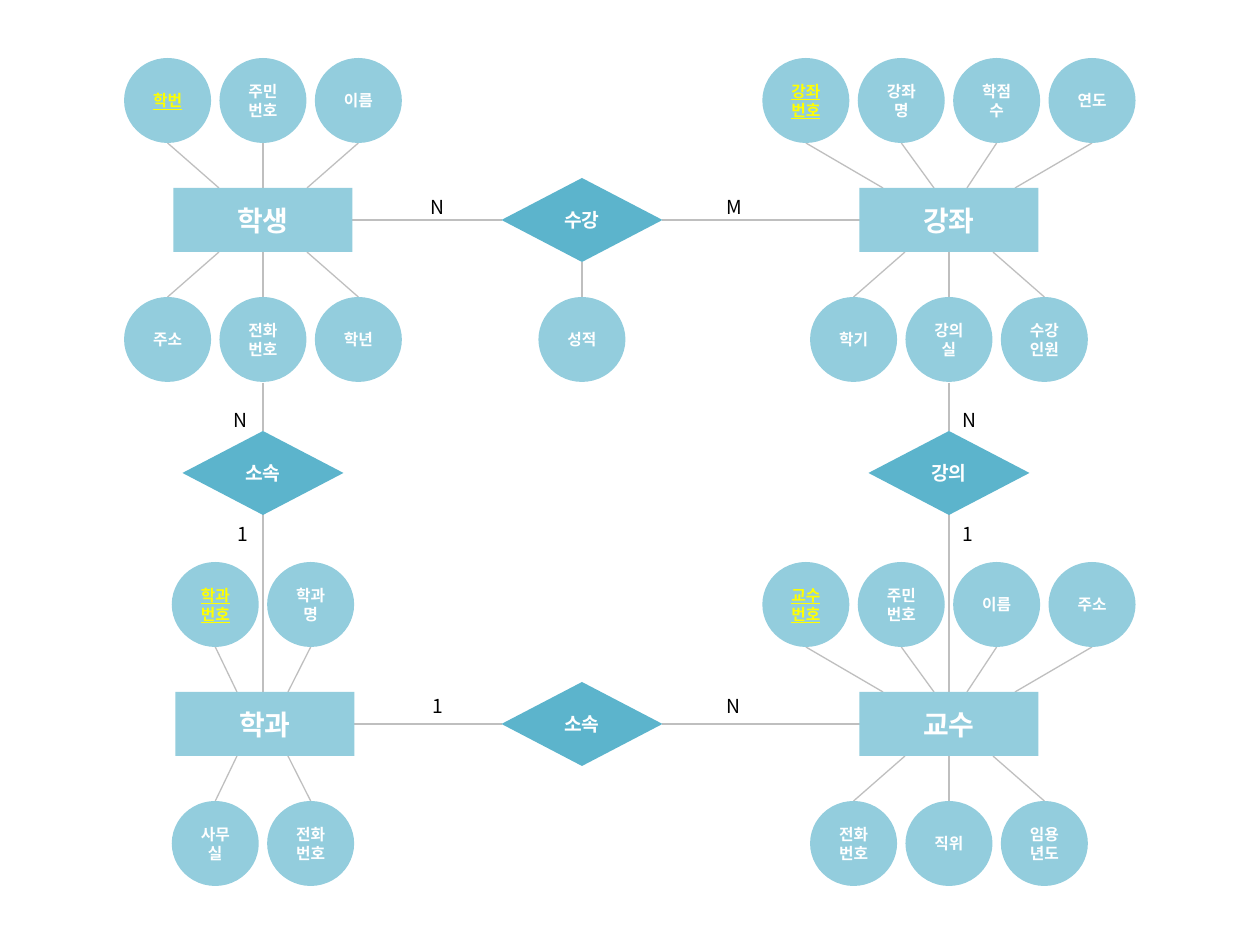
from lxml.etree import SubElement
from pptx import Presentation
from pptx.dml.color import RGBColor
from pptx.enum.shapes import MSO_CONNECTOR, MSO_SHAPE
from pptx.enum.text import MSO_ANCHOR, PP_ALIGN
from pptx.oxml.ns import qn
from pptx.util import Emu, Pt

SCALE = 914400 / 126
FONT = "Noto Sans CJK KR"
LIGHT = RGBColor(0x93, 0xCD, 0xDD)
TEAL = RGBColor(0x5C, 0xB4, 0xCC)
GRAY = RGBColor(0xBF, 0xBF, 0xBF)
WHITE = RGBColor(0xFF, 0xFF, 0xFF)
YELLOW = RGBColor(0xFF, 0xFF, 0x00)
BLACK = RGBColor(0x00, 0x00, 0x00)

LEFT, MIDDLE, RIGHT = 263, 582, 949
TOP, CENTER, BOTTOM = 220, 473, 724
ELLIPSE, ENTITY, DIAMOND = (87, 85), (179, 64), (161, 84)
PITCH = 95.4
ROW_GAP = 119.5

# name, column, box centre, row, attributes above, attributes below, keys
ENTITIES = [
    ("학생", LEFT, 263, TOP, ["학번", "주민번호", "이름"], ["주소", "전화번호", "학년"], ["학번"]),
    ("강좌", RIGHT, 949, TOP, ["강좌번호", "강좌명", "학점수", "연도"],
     ["학기", "강의실", "수강인원"], ["강좌번호"]),
    ("학과", LEFT, 265, BOTTOM, ["학과번호", "학과명"], ["사무실", "전화번호"], ["학과번호"]),
    ("교수", RIGHT, 949, BOTTOM, ["교수번호", "주민번호", "이름", "주소"],
     ["전화번호", "직위", "임용년도"], ["교수번호"]),
]
# where attribute lines meet the entity edge, by number of attributes
LANDINGS = {2: (-26, 25), 3: (-44, 0, 44), 4: (-66, -15, 18, 66)}
RELATIONS = [("수강", MIDDLE, TOP), ("소속", LEFT, CENTER),
             ("강의", RIGHT, CENTER), ("소속", MIDDLE, BOTTOM)]
RELATION_LINES = [(x, y1, x, y2) for x in (LEFT, RIGHT) for y1, y2 in ((383, 431), (514, 727))]
RELATION_LINES += [(x1, y, x2, y) for y in (TOP, BOTTOM) for x1, x2 in ((350, 502), (662, 862))]
CENTERED, TO_RIGHT, TO_LEFT = PP_ALIGN.CENTER, PP_ALIGN.RIGHT, PP_ALIGN.LEFT
CARDINALITIES = [
    ("N", 413, 189, CENTERED), ("M", 709, 189, CENTERED),
    ("1", 413, 688, CENTERED), ("N", 709, 688, CENTERED),
    ("N", 198, 402, TO_RIGHT), ("1", 198, 516, TO_RIGHT),
    ("N", 963, 402, TO_LEFT), ("1", 963, 516, TO_LEFT),
]


def px(value):
    """Turn pixels into EMU."""
    return Emu(round(value * SCALE))


def style_text(frame, text, size, color, align=CENTERED, bold=True, underline=False):
    """Write one formatted paragraph, centred vertically."""
    frame.text = text
    frame.word_wrap = True
    frame.vertical_anchor = MSO_ANCHOR.MIDDLE
    paragraph = frame.paragraphs[0]
    paragraph.alignment = align
    span = paragraph.runs[0]
    span.font.name = FONT
    span.font.size = Pt(size)
    span.font.bold = bold
    if underline:
        span.font.underline = True
    span.font.color.rgb = color
    SubElement(span.font._element, qn("a:ea"), typeface=FONT)
    return paragraph


def add_node(page, kind, center_x, center_y, extent, fill, text, size, key=False):
    """Draw a filled shape around a centre point."""
    width, height = extent
    node = page.shapes.add_shape(kind, px(center_x - width / 2), px(center_y - height / 2),
                                 px(width), px(height))
    node.shadow.inherit = False
    node.fill.solid()
    node.fill.fore_color.rgb = fill
    node.line.fill.background()
    style_text(node.text_frame, text, size, YELLOW if key else WHITE, underline=key)


def add_line(page, x1, y1, x2, y2):
    """Draw a thin gray line."""
    line = page.shapes.add_connector(MSO_CONNECTOR.STRAIGHT, px(x1), px(y1), px(x2), px(y2))
    line.line.color.rgb = GRAY
    line.line.width = Pt(0.75)
    SubElement(line._element.spPr, qn("a:effectLst"))


def add_attributes(page, center_x, center_y, names, side, keys):
    """Draw a row of attributes above (-1) or below (1) an entity with their lines."""
    row_y = center_y + side * ROW_GAP
    for index, (name, landing) in enumerate(zip(names, LANDINGS[len(names)])):
        x = center_x + (index - (len(names) - 1) / 2) * PITCH
        add_line(page, x, row_y - side * ELLIPSE[1] / 2,
                 center_x + landing, center_y + side * ENTITY[1] / 2)
        add_node(page, MSO_SHAPE.OVAL, x, row_y, ELLIPSE, LIGHT, name, 9, name in keys)


def add_cardinality(page, text, left, top, align):
    """Write a cardinality label beside a relation line."""
    box = page.shapes.add_textbox(px(left), px(top), px(50), px(19))
    frame = box.text_frame
    side_inset = px(13 if align == CENTERED else 0)
    frame.margin_left = frame.margin_right = side_inset
    frame.margin_top, frame.margin_bottom = 0, px(6)
    paragraph = style_text(frame, text, 11, BLACK, align, bold=False)
    paragraph.line_spacing = 2.0


deck = Presentation()
deck.slide_width, deck.slide_height = px(1260), px(945)
page = deck.slides.add_slide(deck.slide_layouts[6])

for ends in RELATION_LINES:
    add_line(page, *ends)
for name, column, box_x, row, above, below, keys in ENTITIES:
    add_attributes(page, column, row, above, -1, keys)
    add_attributes(page, column, row, below, 1, keys)
    add_node(page, MSO_SHAPE.RECTANGLE, box_x, row, ENTITY, LIGHT, name, 16)
add_line(page, MIDDLE, 262, MIDDLE, 298)
add_node(page, MSO_SHAPE.OVAL, MIDDLE, TOP + ROW_GAP, ELLIPSE, LIGHT, "성적", 9)
for name, x, y in RELATIONS:
    add_node(page, MSO_SHAPE.DIAMOND, x, y, DIAMOND, TEAL, name, 11)
for label in CARDINALITIES:
    add_cardinality(page, *label)

deck.save("out.pptx")
